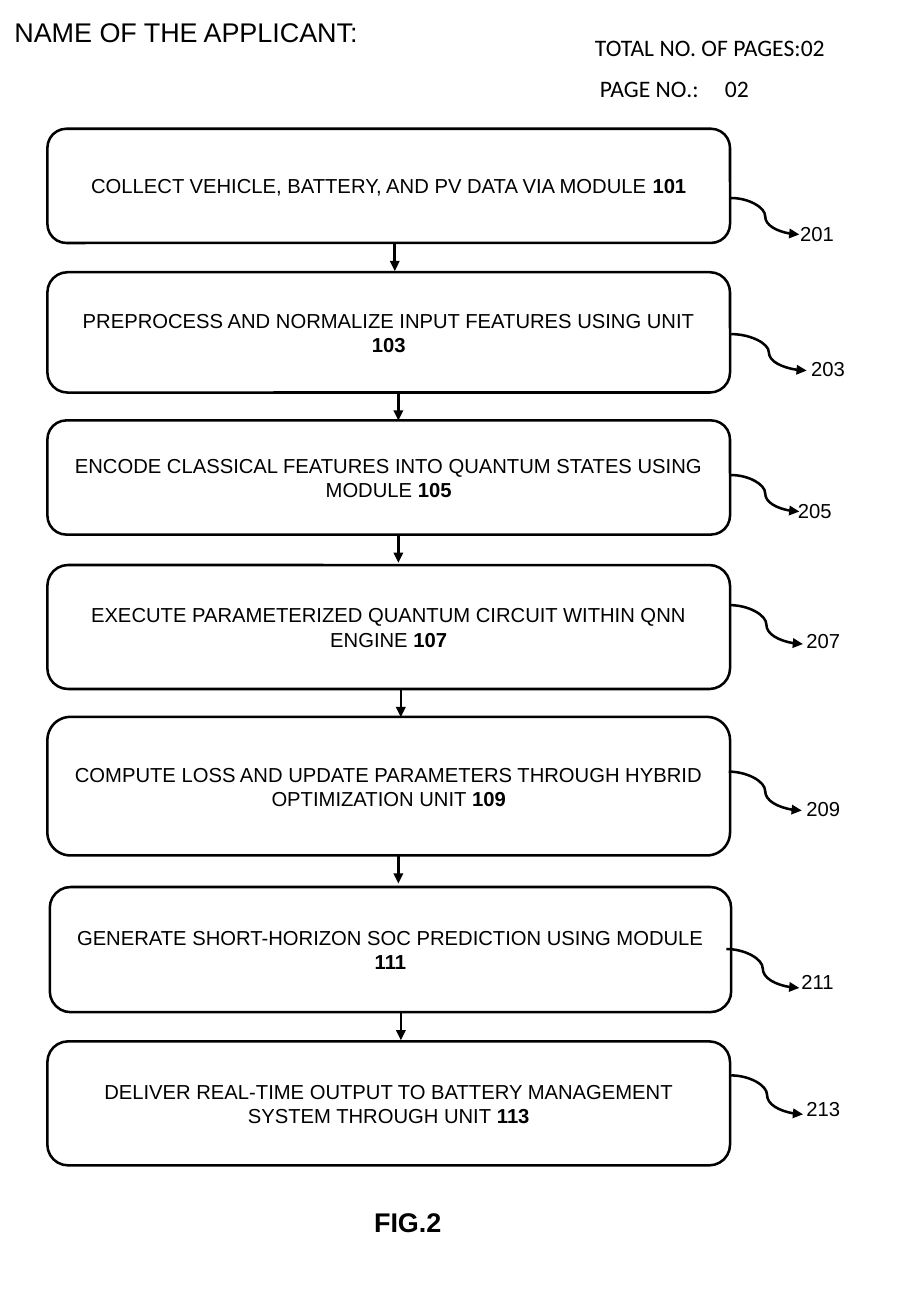
import pptx
import pptx.util
import pptx.dml.color
import pptx.enum.shapes
import pptx.enum.text
import pptx.oxml
import pptx.oxml.ns
from lxml import etree

BLACK = pptx.dml.color.RGBColor(0, 0, 0)
WHITE = pptx.dml.color.RGBColor(255, 255, 255)
COLS, ROWS = 75, 108.3
CELL = pptx.util.Inches(0.1)
ARROW_ROWS = 2.3
CONNECTOR = pptx.enum.shapes.MSO_CONNECTOR

# Each step: text, box (left, top, width, height), arrow column,
# leader from the box's top right corner (x, y, width, height), label offset (x, y)
STEPS = [
    ("COLLECT VEHICLE, BATTERY, AND PV DATA VIA MODULE ",
     (3.9, 10.6, 56.2, 9.4), 32.5, (0.1, 5.7, 5.6, 3), (4.8, 7.1)),
    ("PREPROCESS AND NORMALIZE INPUT FEATURES USING UNIT ",
     (3.9, 22.4, 56.2, 9.9), 32.8, (0.1, 5.1, 6.2, 3), (5.7, 6.4)),
    ("ENCODE CLASSICAL FEATURES INTO QUANTUM STATES USING MODULE ",
     (3.9, 34.6, 56.2, 9.4), 32.8, (0.1, 4.5, 5.6, 3), (4.6, 5.9)),
    ("EXECUTE PARAMETERIZED QUANTUM CIRCUIT WITHIN QNN ENGINE ",
     (3.9, 46.5, 56.2, 10.2), 33, (0, 3.3, 6, 3.2), (5.3, 4.7)),
    ("COMPUTE LOSS AND UPDATE PARAMETERS THROUGH HYBRID OPTIMIZATION UNIT ",
     (3.9, 59, 56.2, 11.4), 32.8, (-0.1, 4.5, 6, 3.2), (5.3, 6)),
    ("GENERATE SHORT-HORIZON SOC PREDICTION USING MODULE ",
     (4.1, 73, 56.1, 10.3), 33, (-0.4, 5.1, 6, 3.2), (4.8, 6.3)),
    ("DELIVER REAL-TIME OUTPUT TO BATTERY MANAGEMENT SYSTEM THROUGH UNIT ",
     (3.9, 85.7, 56.2, 10.2), None, (0.1, 2.8, 5.9, 3.2), (5.3, 4)),
]


def cells(*counts):
    """Turn counts of grid cells into lengths."""
    return [round(n * CELL) for n in counts]


def set_font(p, size, name="Arial", bold=False):
    """Set the font of a whole paragraph."""
    p.font.name = name
    p.font.size = pptx.util.Pt(size)
    p.font.bold = bold
    p.font.color.rgb = BLACK


def add_text(s, box, text, size, name="Arial", tab=None):
    """Add a one-line text box, with a tab stop if one is given."""
    tf = s.shapes.add_textbox(*cells(*box)).text_frame
    tf.word_wrap = True
    p = tf.paragraphs[0]
    p.text = text
    if tab:
        tabs = etree.SubElement(p._p.get_or_add_pPr(), pptx.oxml.ns.qn("a:tabLst"))
        etree.SubElement(tabs, pptx.oxml.ns.qn("a:tab"),
                         pos=str(cells(tab)[0]), algn="l")
    set_font(p, size, name)


def add_arrow(s, kind, x, y, width, height):
    """Add a black connector with an arrowhead at its end."""
    line = s.shapes.add_connector(kind, *cells(x, y, x + width, y + height))
    line.line.color.rgb = BLACK
    line.line.width = pptx.util.Pt(1.5)
    etree.SubElement(line.line._get_or_add_ln(), pptx.oxml.ns.qn("a:tailEnd"),
                     type="triangle")
    etree.SubElement(line._element.spPr, pptx.oxml.ns.qn("a:effectLst"))


def add_header(s, left, top):
    """Add the applicant line and the page counts."""
    add_text(s, (left, top, 53.2, 6.1), "NAME OF THE APPLICANT:", 16)
    add_text(s, (left + 47.8, top + 1.4, 24.6, 3.4), "TOTAL NO. OF PAGES:02", 14, "Calibri")
    add_text(s, (left + 48.2, top + 4.8, 16.8, 3.4), "PAGE NO.:\t02", 14, "Calibri", 10.3)


def add_step(s, box, text, number):
    """Add one rounded box with its module number in bold."""
    sp = s.shapes.add_shape(pptx.enum.shapes.MSO_SHAPE.ROUNDED_RECTANGLE, *cells(*box))
    sp.shadow.inherit = False
    sp.fill.solid()
    sp.fill.fore_color.rgb = WHITE
    sp.line.color.rgb = BLACK
    sp.line.width = pptx.util.Pt(1.5)
    tf = sp.text_frame
    tf.word_wrap = True
    tf.vertical_anchor = pptx.enum.text.MSO_ANCHOR.MIDDLE
    p = tf.paragraphs[0]
    p.alignment = pptx.enum.text.PP_ALIGN.CENTER
    p.add_run().text = text
    r = p.add_run()
    r.text = str(number)
    set_font(p, 12)
    for r in p.runs:
        r.font.color.rgb = BLACK
    r.font.bold = True


def add_leader(s, right, top, leader, label, number):
    """Add the curved arrow and reference number beside a box."""
    x, y, width, height = leader
    add_arrow(s, CONNECTOR.CURVE, right + x, top + y, width, height)
    add_text(s, (right + label[0], top + label[1], 8, 3), str(number), 12)


def add_flow(s):
    """Add every step with its leader and the arrow to the next step."""
    for i, (text, box, arrow_x, leader, label) in enumerate(STEPS):
        left, top, width, height = box
        add_step(s, box, text, 101 + 2 * i)
        add_leader(s, left + width, top, leader, label, 201 + 2 * i)
        if arrow_x:
            add_arrow(s, CONNECTOR.STRAIGHT, arrow_x, top + height, 0, ARROW_ROWS)


def add_figure_title(s, box):
    """Place the figure number in the title placeholder."""
    sp = s.shapes.title
    sp.left, sp.top, sp.width, sp.height = cells(*box)
    tf = sp.text_frame
    tf.text = "FIG.2"
    tf.word_wrap = True
    tf.auto_size = pptx.enum.text.MSO_AUTO_SIZE.NONE
    tf.vertical_anchor = pptx.enum.text.MSO_ANCHOR.TOP
    p = tf.paragraphs[0]
    p.alignment = pptx.enum.text.PP_ALIGN.LEFT
    set_font(p, 16, bold=True)


def main():
    """Build the flowchart page."""
    prs = pptx.Presentation()
    prs.slide_width, prs.slide_height = cells(COLS, ROWS)
    s = prs.slides.add_slide(prs.slide_layouts[5])
    add_header(s, 0.2, 0.8)
    add_flow(s)
    add_figure_title(s, (29.8, 98.7, 9.8, 3.7))
    prs.save("out.pptx")


if __name__ == "__main__":
    main()
